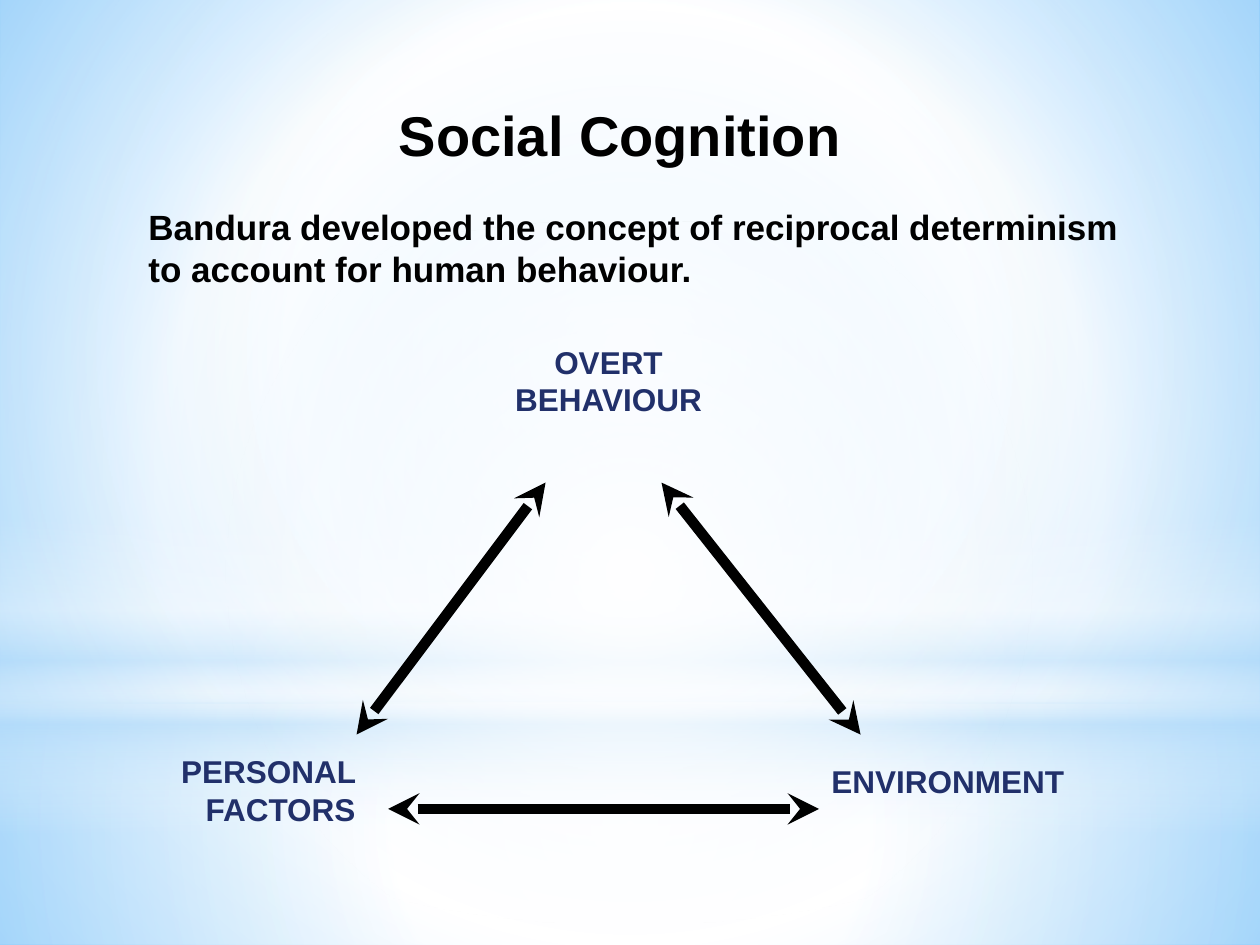
from typing import NamedTuple

from lxml import etree
from pptx import Presentation
from pptx.dml.color import RGBColor
from pptx.enum import shapes, text
from pptx.oxml import ns
from pptx.util import Inches, Pt

BLACK, NAVY = "000000", "21306A"
WHITE, SKY = "FFFFFF", "B4DCFA"
LEFT, MID, RIGHT = text.PP_ALIGN.LEFT, text.PP_ALIGN.CENTER, text.PP_ALIGN.RIGHT
RECT, OVAL = shapes.MSO_SHAPE.RECTANGLE, shapes.MSO_SHAPE.OVAL


class Stop(NamedTuple):
    pos: int
    color: str
    alpha: int = 100


class Glow(NamedTuple):
    kind: int
    top: float
    height: float
    stops: list[Stop]
    radial: bool = True


class Label(NamedTuple):
    words: str
    box: tuple[float, float, float, float]
    size: int
    color: str
    align: int


class Arrow(NamedTuple):
    start: tuple[float, float]
    end: tuple[float, float]


BACK = [Stop(0, "A7D9FF"), Stop(60, WHITE), Stop(100, "69BDFC")]
GLOWS = [
    Glow(RECT, 5.58, 1.92, [Stop(0, WHITE, 91), Stop(37, WHITE, 76), Stop(100, SKY, 79)]),
    Glow(RECT, 0, 5.58, [Stop(0, WHITE, 89), Stop(48, WHITE, 62), Stop(100, SKY, 79)]),
    Glow(RECT, 4.12, 2.5,
         [Stop(0, WHITE, 0), Stop(29, WHITE, 30), Stop(45, SKY, 40),
          Stop(55, WHITE, 26), Stop(65, SKY, 60), Stop(100, WHITE, 0)], False),
    Glow(OVAL, 1.75, 5.58, [Stop(0, WHITE), Stop(56, WHITE, 0), Stop(100, WHITE, 0)]),
]
LABELS = [
    Label("Social Cognition", (0.92, 0.75, 8, 0.63), 32, BLACK, MID),
    Label("Bandura developed the concept of reciprocal determinism "
          "to account for human behaviour.", (1.08, 1.58, 8, 0.77), 20, BLACK, LEFT),
    Label("OVERT BEHAVIOUR", (3.58, 2.67, 2.5, 0.71), 18, NAVY, MID),
    Label("PERSONAL FACTORS", (0.42, 5.92, 2.5, 0.71), 18, NAVY, RIGHT),
    Label("ENVIRONMENT", (6.5, 6, 3.25, 0.4), 18, NAVY, LEFT),
]
ARROWS = [
    Arrow((2.83, 5.83), (4.33, 3.83)),
    Arrow((5.25, 3.83), (6.83, 5.83)),
    Arrow((3.08, 6.42), (6.5, 6.42)),
]


def rgb(code: str) -> RGBColor:
    return RGBColor.from_string(code)


def add(parent, tag: str, **attrs):
    """Append a DrawingML child element."""
    values = {key: str(value) for key, value in attrs.items()}
    return etree.SubElement(parent, ns.qn(f"a:{tag}"), values)


def shade(fill, root, stops: list[Stop], radial: bool = True) -> None:
    """Give the fill found under root a gradient with transparent stops."""
    fill.gradient()
    grad = root.find(".//" + ns.qn("a:gradFill"))
    for child in list(grad):
        grad.remove(child)
    items = add(grad, "gsLst")
    for stop in stops:
        item = add(items, "gs", pos=stop.pos * 1000)
        color = add(item, "srgbClr", val=stop.color)
        if stop.alpha < 100:
            add(color, "alpha", val=stop.alpha * 1000)
    if radial:
        path = add(grad, "path", path="circle")
        add(path, "fillToRect", l=50000, t=50000, r=50000, b=50000)
    else:
        add(grad, "lin", ang=90 * 60000, scaled=0)


def draw_glow(slide, glow: Glow) -> None:
    shape = slide.shapes.add_shape(
        glow.kind, 0, Inches(glow.top), Inches(10), Inches(glow.height))
    shape.shadow.inherit = False
    shape.line.fill.background()
    shade(shape.fill, shape.element, glow.stops, glow.radial)


def draw_label(slide, label: Label) -> None:
    frame = slide.shapes.add_textbox(*map(Inches, label.box)).text_frame
    frame.word_wrap = True
    frame.auto_size = text.MSO_AUTO_SIZE.SHAPE_TO_FIT_TEXT
    para = frame.paragraphs[0]
    para.text = label.words
    para.alignment = label.align
    font = para.font
    font.name, font.size, font.bold = "Arial", Pt(label.size), True
    font.color.rgb = rgb(label.color)


def draw_arrow(slide, arrow: Arrow) -> None:
    link = slide.shapes.add_connector(
        shapes.MSO_CONNECTOR.STRAIGHT, *map(Inches, arrow.start + arrow.end))
    link.line.color.rgb = rgb(BLACK)
    link.line.width = Pt(6)
    props = link.element.spPr
    line = props.find(ns.qn("a:ln"))
    for tip in ("headEnd", "tailEnd"):
        add(line, tip, type="stealth")
    add(props, "effectLst")


def main() -> None:
    deck = Presentation()
    deck.slide_width, deck.slide_height = Inches(10), Inches(7.5)
    slide = deck.slides.add_slide(deck.slide_layouts[6])
    shade(slide.background.fill, slide.element, BACK)
    for glow in GLOWS:
        draw_glow(slide, glow)
    for label in LABELS:
        draw_label(slide, label)
    for arrow in ARROWS:
        draw_arrow(slide, arrow)
    deck.save("out.pptx")


if __name__ == "__main__":
    main()
